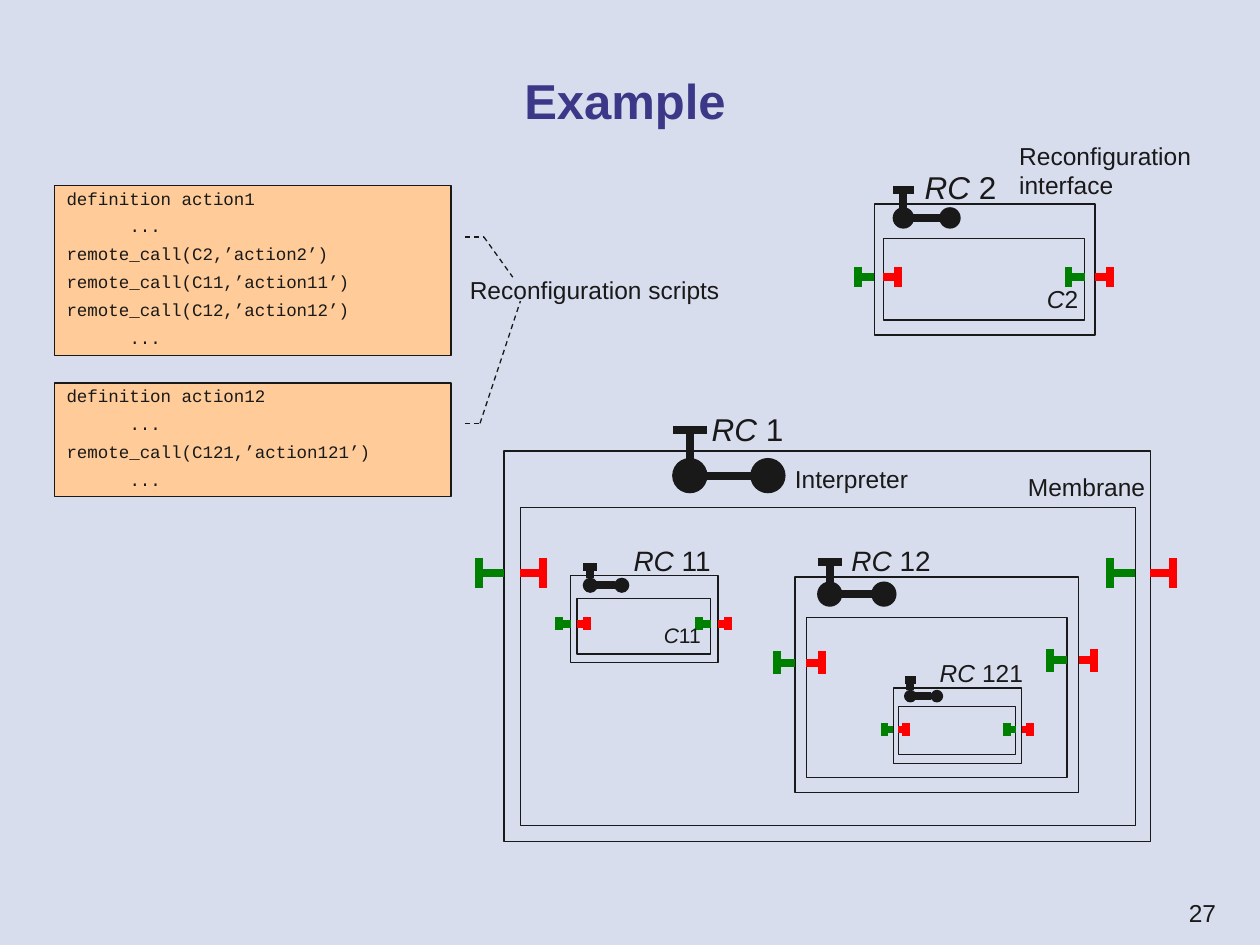
"""Build the Example slide: nested reconfigurable components and their scripts."""
from lxml import etree
from pptx import Presentation
from pptx.dml.color import RGBColor
from pptx.enum import dml, shapes, text
from pptx.oxml import ns
from pptx.util import Inches, Pt

COLORS = {"back": "D8DDED", "ink": "191919", "code": "FFCC99", "title": "3B3887",
          "server": "008000", "client": "FF0000"}
RGB = {name: RGBColor.from_string(value) for name, value in COLORS.items()}
RECT, OVAL = shapes.MSO_SHAPE.RECTANGLE, shapes.MSO_SHAPE.OVAL
LEFT, CENTER, RIGHT = text.PP_ALIGN.LEFT, text.PP_ALIGN.CENTER, text.PP_ALIGN.RIGHT

prs = Presentation()
prs.slide_width, prs.slide_height = Inches(10), Inches(7.5)
s = prs.slides.add_slide(prs.slide_layouts[6])
s.background.fill.solid()
s.background.fill.fore_color.rgb = RGB["back"]


def add_shape(kind, box, fill=None):
    sp = s.shapes.add_shape(kind, *map(Inches, box))
    sp.shadow.inherit = False
    if fill:
        sp.fill.solid()
        sp.fill.fore_color.rgb = RGB[fill]
    else:
        sp.fill.background()
    sp.line.color.rgb = RGB["ink"]
    sp.line.width = Pt(0.75)
    return sp


def add_line(x1, y1, x2, y2, color="ink", width=4.5):
    ln = s.shapes.add_connector(shapes.MSO_CONNECTOR.STRAIGHT, *map(Inches, (x1, y1, x2, y2)))
    ln.line.color.rgb = RGB[color]
    ln.line.width = Pt(width)
    etree.SubElement(ln._element.spPr, ns.qn("a:effectLst"))
    return ln


scripts = [
    ((0.43, 1.47, 3.15, 1.35),
     ["definition action1", "\t...", "remote_call(C2,’action2’)",
      "remote_call(C11,’action11’)", "remote_call(C12,’action12’)", "\t..."]),
    ((0.43, 3.04, 3.15, 0.9),
     ["definition action12", "\t...", "remote_call(C121,’action121’)", "\t..."]),
]
for box, code in scripts:
    tf = add_shape(RECT, box, "code").text_frame
    tf.word_wrap = True
    tf.vertical_anchor = text.MSO_ANCHOR.TOP
    for i, row in enumerate(code):
        p = tf.paragraphs[0] if i == 0 else tf.add_paragraph()
        tabs = etree.SubElement(p._p.get_or_add_pPr(), ns.qn("a:tabLst"))
        etree.SubElement(tabs, ns.qn("a:tab"), pos=str(Inches(0.5)), algn="l")
        p.alignment = LEFT
        p.line_spacing = 0.81
        if i:
            p.space_before = Pt(6.2)
        r = p.add_run()
        r.text = row
        r.font.name, r.font.size = "Courier New", Pt(10)
        r.font.color.rgb = RGB["ink"]

components = [
    dict(membrane=(4, 3.58, 5.13, 3.1), content=(4.13, 4.03, 4.88, 2.52),
         ports=(4.55, 4.55), arm=0.2, half=0.12, balls=(5.34, 5.96), ball_y=3.64, ball=0.27, top=3.41),
    dict(membrane=(6.94, 1.62, 1.75, 1.04), content=(7.01, 1.89, 1.6, 0.65),
         ports=(2.2, 2.2), arm=0.13, half=0.08, balls=(7.09, 7.46), ball_y=1.65, ball=0.16, top=1.51),
    dict(membrane=(4.53, 4.57, 1.17, 0.69), content=(4.58, 4.75, 1.06, 0.44),
         ports=(4.95, 4.95), arm=0.09, half=0.05, balls=(4.63, 4.88), ball_y=4.59, ball=0.11, top=4.5),
    dict(membrane=(6.31, 4.58, 2.25, 1.71), content=(6.4, 4.9, 2.07, 1.27),
         ports=(5.26, 5.24), arm=0.14, half=0.09, balls=(6.49, 6.92), ball_y=4.62, ball=0.19, top=4.46),
    dict(membrane=(7.09, 5.46, 1.02, 0.6), content=(7.13, 5.61, 0.93, 0.38),
         ports=(5.79, 5.79), arm=0.07, half=0.05, balls=(7.18, 7.39), ball_y=5.48, ball=0.09, top=5.4),
]
for c in components:
    for box in (c["membrane"], c["content"]):
        add_shape(RECT, box)
    outer, inner = c["membrane"], c["content"]
    arm, half = c["arm"], c["half"]
    sides = zip((outer[0], inner[0] + inner[2]), (inner[0], outer[0] + outer[2]), c["ports"])
    for server_x, client_x, y in sides:
        for x, reach, bar, color in ((server_x, -arm, -arm, "server"),
                                     (client_x, arm, arm * 0.9, "client")):
            add_line(x, y, x + reach, y, color)
            add_line(x + bar, y - half, x + bar, y + half, color)

    d, ball_y = c["ball"], c["ball_y"]
    first, second = c["balls"]
    for x in c["balls"]:
        add_shape(OVAL, (x, ball_y, d, d), "ink")
    add_line(first + d / 2, ball_y, first + d / 2, c["top"])
    add_line(first, c["top"], first + d, c["top"])
    add_line(first + d * 0.85, ball_y + d / 2, second, ball_y + d / 2)

leaders = [[(3.69, 1.88), (3.84, 1.88), (4.07, 2.2)],
           [(3.69, 3.36), (3.81, 3.36), (4.13, 2.39)]]
for points in leaders:
    for start, end in zip(points, points[1:]):
        add_line(*start, *end, width=0.75).line.dash_style = dml.MSO_LINE.DASH

labels = [
    ((6.21, 3.68, 1.1, 0.29), "", "Interpreter", 14),
    ((8.06, 3.74, 1.13, 0.29), "", "Membrane", 14),
    ((3.63, 2.18, 2.18, 0.29), "", "Reconfiguration scripts", 14),
    ((5.55, 3.26, 0.77, 0.35), "RC ", "1", 18),
    ((7.24, 1.34, 0.77, 0.35), "RC ", "2", 18),
    ((4.93, 4.31, 0.83, 0.32), "RC ", "11", 16),
    ((6.66, 4.31, 0.83, 0.32), "RC ", "12", 16),
    ((7.36, 5.22, 0.86, 0.29), "RC ", "121", 14),
    ((8.21, 2.25, 0.45, 0.29), "C", "2", 14),
    ((5.17, 4.93, 0.5, 0.26), "C", "11", 12),
]
for box, symbol, label, size in labels:
    tf = s.shapes.add_textbox(*map(Inches, box)).text_frame
    tf.word_wrap = False
    p = tf.paragraphs[0]
    p.line_spacing = 0.81
    for part, italic in ((symbol, True), (label, False)):
        if part:
            r = p.add_run()
            r.text = part
            r.font.name, r.font.size, r.font.italic = "Arial", Pt(size), italic
            r.font.color.rgb = RGB["ink"]

wrapped = [
    ((0.44, 0.33, 9.04, 0.92), "Example", 28, "title", CENTER, text.MSO_ANCHOR.MIDDLE),
    ((7.99, 1.07, 1.65, 0.57), "Reconfiguration interface", 14, "ink", LEFT, text.MSO_ANCHOR.TOP),
    ((7.92, 7.08, 1.83, 0.25), "27", 14, "ink", RIGHT, text.MSO_ANCHOR.TOP),
]
for box, label, size, color, align, anchor in wrapped:
    tf = s.shapes.add_textbox(*map(Inches, box)).text_frame
    tf.word_wrap = True
    tf.vertical_anchor = anchor
    p = tf.paragraphs[0]
    p.alignment = align
    r = p.add_run()
    r.text = label
    r.font.name, r.font.size, r.font.bold = "Arial", Pt(size), color == "title"
    r.font.color.rgb = RGB[color]

prs.save("out.pptx")
